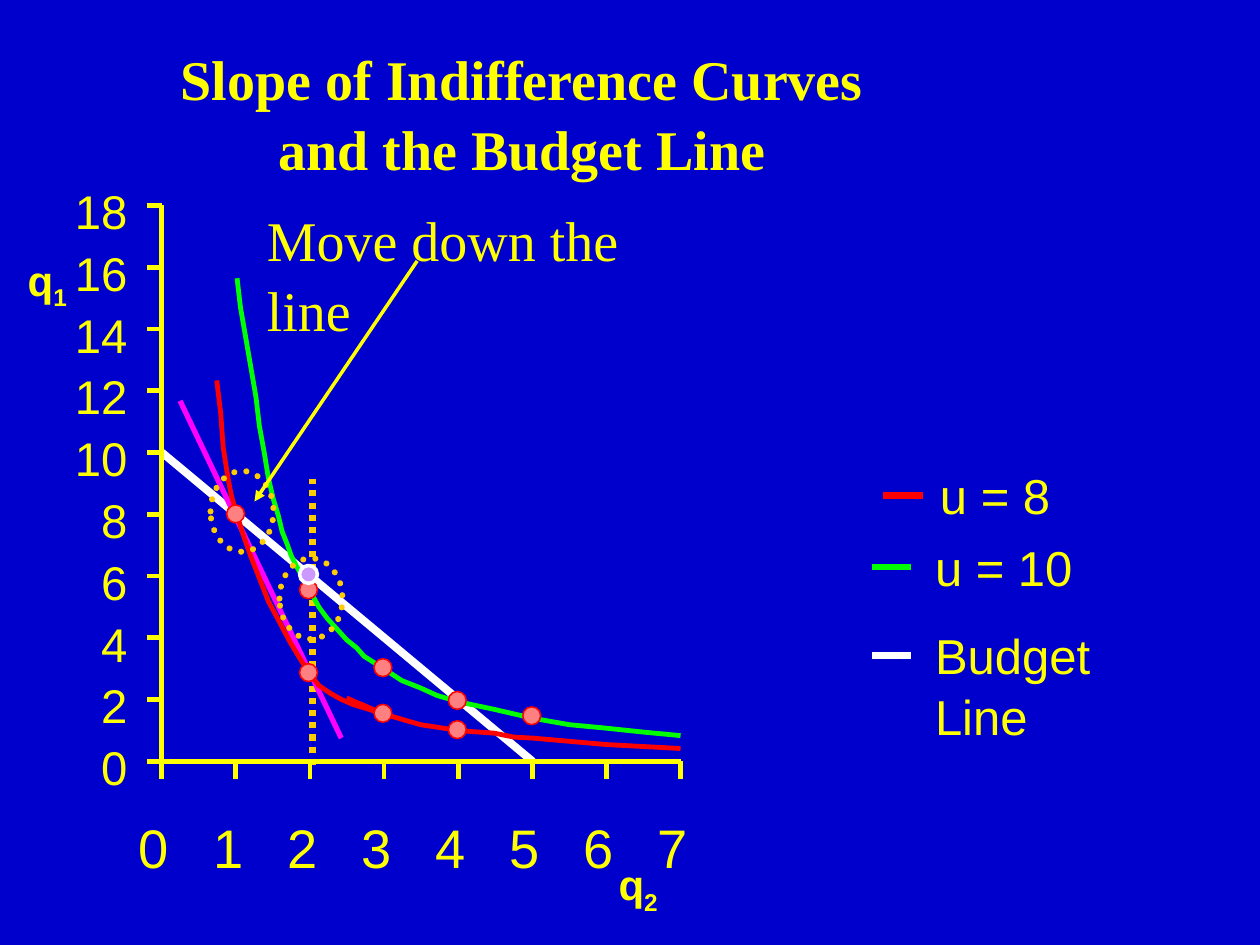
from pptx import Presentation
from pptx.dml.color import RGBColor
from pptx.enum.dml import MSO_LINE
from pptx.enum.shapes import MSO_CONNECTOR, MSO_SHAPE
from pptx.enum.text import MSO_ANCHOR, PP_ALIGN
from pptx.oxml.ns import qn
from pptx.util import Cm, Pt
from lxml.etree import SubElement

BLUE = RGBColor(0x00, 0x00, 0xCC)
YELLOW = RGBColor(0xFF, 0xFF, 0x00)
GOLD = RGBColor(0xFF, 0xCC, 0x00)
WHITE = RGBColor(0xFF, 0xFF, 0xFF)
MAGENTA = RGBColor(0xFF, 0x00, 0xFF)
RED = RGBColor(0xFF, 0x00, 0x00)
GREEN = RGBColor(0x00, 0xFF, 0x00)
PINK = RGBColor(0xFF, 0x80, 0x80)
LILAC = RGBColor(0xCC, 0x99, 0xFF)

# Plot area in centimetres
LEFT, RIGHT, TOP, BOTTOM = 3.26, 13.72, 4.14, 15.35
Q1_MAX, Q2_MAX = 18, 7
Q1_UNIT = (BOTTOM - TOP) / Q1_MAX
Q2_UNIT = (RIGHT - LEFT) / Q2_MAX

presentation = Presentation()
presentation.slide_width, presentation.slide_height = Cm(25.4), Cm(19.05)
slide = presentation.slides.add_slide(presentation.slide_layouts[5])
slide.background.fill.solid()
slide.background.fill.fore_color.rgb = BLUE


def add_line(x1, y1, x2, y2, color, width):
    line = slide.shapes.add_connector(
        MSO_CONNECTOR.STRAIGHT, Cm(x1), Cm(y1), Cm(x2), Cm(y2))
    line.line.color.rgb = color
    line.line.width = Pt(width)
    SubElement(line._element.spPr, qn("a:effectLst"))
    return line


def add_text(text, left, top, width, height, size, font="Arial", align=PP_ALIGN.LEFT):
    box = slide.shapes.add_textbox(Cm(left), Cm(top), Cm(width), Cm(height))
    frame = box.text_frame
    frame.margin_left = frame.margin_right = frame.margin_top = frame.margin_bottom = 0
    frame.word_wrap = False
    frame.text = text
    paragraph = frame.paragraphs[0]
    paragraph.alignment = align
    paragraph.line_spacing = 1.04
    paragraph.font.name = font
    paragraph.font.size = Pt(size)
    paragraph.font.color.rgb = YELLOW
    return paragraph


# Title
title = slide.shapes.title
title.left, title.top, title.width, title.height = Cm(3.63), Cm(0.84), Cm(13.79), Cm(2.72)
frame = title.text_frame
frame.margin_left = frame.margin_right = frame.margin_top = frame.margin_bottom = 0
frame.vertical_anchor = MSO_ANCHOR.TOP
frame.word_wrap = False
frame.text = "Slope of Indifference Curves\nand the Budget Line"
for paragraph in frame.paragraphs:
    paragraph.alignment = PP_ALIGN.CENTER
    paragraph.line_spacing = 1.04
    paragraph.font.name = "Times New Roman"
    paragraph.font.size = Pt(32)
    paragraph.font.bold = True
    paragraph.font.color.rgb = YELLOW

# Guide at q2 = 2, budget line and tangent
guide = add_line(6.3, 15.42, 6.3, 9.65, GOLD, 3.5)
guide.line.dash_style = MSO_LINE.ROUND_DOT
add_line(LEFT, 9.12, 10.74, BOTTOM, WHITE, 4.5)
add_line(3.63, 8.08, 6.88, 14.88, MAGENTA, 3)

# Axes with ticks and numbers
add_line(LEFT, TOP, LEFT, BOTTOM, YELLOW, 2.75)
add_line(LEFT, BOTTOM, RIGHT, BOTTOM, YELLOW, 2.75)
for q1 in range(0, Q1_MAX + 1, 2):
    y = BOTTOM - q1 * Q1_UNIT
    add_line(2.97, y, LEFT, y, YELLOW, 2.75)
    add_text(str(q1), 1.5, y - 0.51, 1.07, 1.14, 27, align=PP_ALIGN.RIGHT)
for q2 in range(Q2_MAX + 1):
    x = LEFT + q2 * Q2_UNIT
    add_line(x, 15.7, x, BOTTOM, YELLOW, 2.75)
    add_text(str(q2), x - 0.46, 16.36, 0.61, 1.32, 31, align=PP_ALIGN.CENTER)

# Axis names
for subscript, left, top in (("1", 0.56, 5.08), ("2", 12.47, 17.27)):
    paragraph = add_text("q", left, top, 0.82, 1.02, 24)
    paragraph.font.bold = True
    run = paragraph.add_run()
    run.text = subscript
    run.font._element.set("baseline", "-25000")

# Indifference curves
u8_curve = [
    (4.37, 7.67), (4.45, 8.33), (4.5, 9.02), (4.6, 9.65), (4.67, 10.01), (4.78, 10.39),
    (4.9, 10.77), (5.05, 11.2), (5.41, 12.12), (5.64, 12.55), (5.84, 12.93), (6.05, 13.28),
    (6.25, 13.59), (6.43, 13.82), (6.65, 13.97), (6.88, 14.1), (7.11, 14.2), (7.34, 14.27),
    (7.75, 14.4), (8.1, 14.5), (8.48, 14.61), (8.81, 14.66), (9.25, 14.73), (9.96, 14.78),
    (10.36, 14.86), (10.74, 14.88), (12.22, 15.01), (13.72, 15.09)]
u8_spur = [(6.99, 14.07), (7.16, 14.15), (7.29, 14.2), (7.52, 14.3), (7.75, 14.4)]
u10_curve = [
    (4.78, 5.61), (4.85, 6.2), (4.95, 6.78), (5.16, 8), (5.23, 8.59), (5.33, 9.14),
    (5.41, 9.63), (5.51, 10.06), (5.61, 10.39), (5.69, 10.72), (5.79, 10.97), (5.87, 11.2),
    (5.97, 11.4), (6.07, 11.58), (6.25, 11.91), (6.43, 12.24), (6.6, 12.47), (6.81, 12.7),
    (6.99, 12.9), (7.19, 13.06), (7.34, 13.23), (7.75, 13.49), (8.1, 13.72), (8.48, 13.87),
    (8.81, 14.02), (9.25, 14.15), (9.96, 14.3), (10.74, 14.48), (11.48, 14.61),
    (12.22, 14.68), (12.98, 14.76), (13.72, 14.83)]
for points, color in ((u8_curve, RED), (u8_spur, RED), (u10_curve, GREEN)):
    corners = [(Cm(x), Cm(y)) for x, y in points]
    builder = slide.shapes.build_freeform(*corners[0])
    builder.add_line_segments(corners[1:], close=False)
    curve = builder.convert_to_shape()
    curve.shadow.inherit = False
    curve.fill.background()
    curve.line.color.rgb = color
    curve.line.width = Pt(2.75)

# Points on the curves, dotted rings and the tangency point: centre, size, fill, line
points = [(4.75, 10.36), (6.22, 13.56), (7.72, 14.38), (9.22, 14.71),
          (6.22, 11.89), (7.72, 13.46), (9.22, 14.12), (10.72, 14.43)]
ovals = [(x, y, 0.36, 0.36, PINK, RED, 0.88) for x, y in points]
ovals += [(4.88, 10.31, 1.27, 1.63, None, GOLD, 3.5),
          (6.27, 12.07, 1.27, 1.63, None, GOLD, 3.5),
          (6.22, 11.58, 0.36, 0.36, LILAC, WHITE, 2)]
for x, y, width, height, fill, color, weight in ovals:
    oval = slide.shapes.add_shape(
        MSO_SHAPE.OVAL, Cm(x - width / 2), Cm(y - height / 2), Cm(width), Cm(height))
    oval.shadow.inherit = False
    oval.line.color.rgb = color
    oval.line.width = Pt(weight)
    if fill is None:
        oval.fill.background()
        oval.line.dash_style = MSO_LINE.ROUND_DOT
        oval.line._ln.set("cap", "rnd")
    else:
        oval.fill.solid()
        oval.fill.fore_color.rgb = fill

# Legend
legend = [("u = 8", RED, 17.81, 9.98, 18.95, 2.24),
          ("u = 10", GREEN, 17.58, 11.43, 18.85, 2.77),
          ("Budget Line", WHITE, 17.58, 13.21, 18.85, 5.26)]
for label, color, x, y, text_left, text_width in legend:
    add_line(x, y, x + 0.79, y, color, 4)
    add_text(label, text_left, y - 0.65, text_width, 1.19, 28)

# Note with arrow
add_text("Move down the line", 5.38, 4.09, 9.07, 1.37, 32, "Times New Roman")
arrow = add_line(8.41, 5.26, 5.13, 10.11, YELLOW, 2)
SubElement(arrow.line._ln, qn("a:tailEnd"), type="triangle")

presentation.save("out.pptx")
